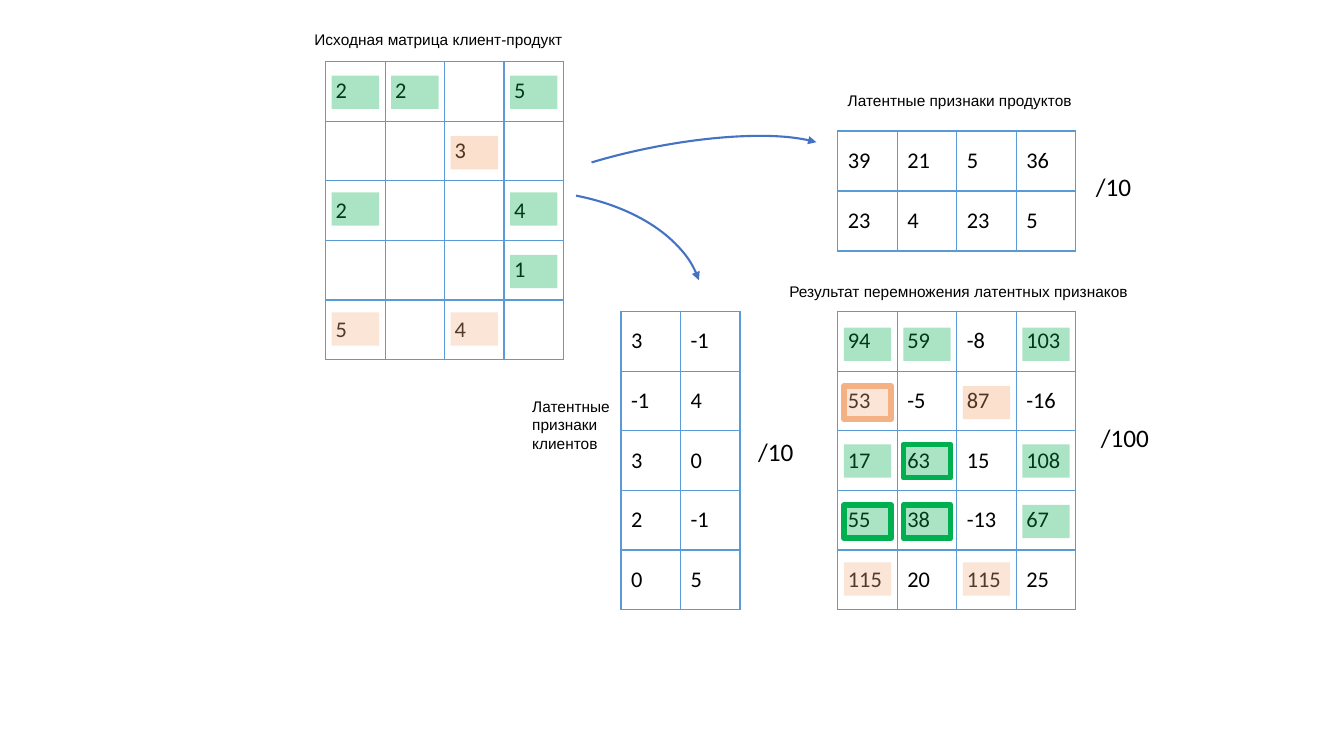
from lxml import etree
from pptx import Presentation
from pptx.dml import color
from pptx.enum import shapes, text
from pptx.oxml import ns
from pptx.util import Inches, Pt

BLUE = "5B9BD5"
COLORS = {"g": "00B050", "o": "F4B183", "p": "F2A16A"}


def rgb(value):
    return color.RGBColor.from_string(value)


def write(frame, content, size=11, font="Arial", fill="000000"):
    frame.word_wrap = True
    run = frame.paragraphs[0].add_run()
    run.text = content
    run.font.size = Pt(size)
    run.font.name = font
    run.font.color.rgb = rgb(fill)


presentation = Presentation()
presentation.slide_width = Inches(13.33)
presentation.slide_height = Inches(7.5)
slide = presentation.slides.add_slide(presentation.slide_layouts[6])

# Matrices: left, top, width, height, values
source = (3.23, 0.61, 2.36, 2.96, [
    ["2", "2", "", "5"],
    ["", "", "3", ""],
    ["2", "", "", "4"],
    ["", "", "", "1"],
    ["5", "", "4", ""],
])
products = (8.31, 1.3, 2.36, 1.19, [
    ["39", "21", "5", "36"],
    ["23", "4", "23", "5"],
])
clients = (6.16, 3.09, 1.18, 2.96, [
    ["3", "-1"],
    ["-1", "4"],
    ["3", "0"],
    ["2", "-1"],
    ["0", "5"],
])
result = (8.31, 3.09, 2.36, 2.96, [
    ["94", "59", "-8", "103"],
    ["53", "-5", "87", "-16"],
    ["17", "63", "15", "108"],
    ["55", "38", "-13", "67"],
    ["115", "20", "115", "25"],
])

for left, top, width, height, values in (result, clients, products, source):
    table = slide.shapes.add_table(
        len(values), len(values[0]),
        Inches(left), Inches(top), Inches(width), Inches(height)).table
    table.first_row = False
    table.horz_banding = False
    for row, row_values in enumerate(values):
        for column, value in enumerate(row_values):
            cell = table.cell(row, column)
            cell.fill.background()
            cell.vertical_anchor = text.MSO_ANCHOR.MIDDLE
            if value:
                write(cell.text_frame, value, size=16, font="Calibri")
            properties = cell._tc.get_or_add_tcPr()
            for position, side in enumerate(("lnL", "lnR", "lnT", "lnB")):
                border = etree.Element(ns.qn("a:" + side), w=str(Pt(1)))
                solid = etree.SubElement(border, ns.qn("a:solidFill"))
                etree.SubElement(solid, ns.qn("a:srgbClr"), val=BLUE)
                properties.insert(position, border)

# Translucent highlights: a letter names the colour, a capital adds a frame
highlights = [
    (source, [0.75, 1.35, 1.91, 2.53, 3.1],
     ["gg.g", "..p.", "g..g", "...g", "o.o."]),
    (result, [3.25, 3.83, 4.41, 5.01, 5.58],
     ["gg.g", "O.p.", "gG.g", "GG.g", "o.o."]),
]
for matrix, tops, marks in highlights:
    for top, row_marks in zip(tops, marks):
        for column, mark in enumerate(row_marks):
            if mark == ".":
                continue
            left = matrix[0] + 0.06 + column * 0.59
            shape = slide.shapes.add_shape(
                shapes.MSO_SHAPE.RECTANGLE,
                Inches(left), Inches(top), Inches(0.47), Inches(0.33))
            shape.shadow.inherit = False
            tint = COLORS[mark.lower()]
            shape.fill.solid()
            shape.fill.fore_color.rgb = rgb(tint)
            tint_element = shape._element.spPr.find(".//" + ns.qn("a:srgbClr"))
            etree.SubElement(tint_element, ns.qn("a:alpha"), val="33000")
            if mark.isupper():
                shape.line.color.rgb = rgb(tint)
                shape.line.width = Pt(4)
            else:
                shape.line.fill.background()

# Curved arrows: left, top, width, height, rotation, start and end in degrees
arrows = [
    (4.69, 1.46, 3.69, 1.01, 348.5, 219.37, 352),
    (3.39, 1.89, 3.58, 2.24, 0, 296.5, 352.51),
]
for left, top, width, height, rotation, start, end in arrows:
    arrow = slide.shapes.add_shape(
        shapes.MSO_SHAPE.ARC,
        Inches(left), Inches(top), Inches(width), Inches(height))
    arrow.shadow.inherit = False
    arrow.rotation = rotation
    # Angles are stored in 60000ths of a degree, adjustments in 100000ths
    arrow.adjustments[0] = start * 0.6
    arrow.adjustments[1] = end * 0.6
    arrow.fill.background()
    arrow.line.color.rgb = rgb("4472C4")
    arrow.line.width = Pt(1.5)
    etree.SubElement(arrow.line._get_or_add_ln(), ns.qn("a:tailEnd"), type="triangle")

# Scale factors and captions
scale = {"size": 18, "font": "Calibri"}
labels = [
    (7.42, 4.28, 0.65, 0.4, "/10", scale),
    (10.77, 1.65, 0.65, 0.4, "/10", scale),
    (10.82, 4.14, 0.81, 0.4, "/100", scale),
    (8.31, 0.85, 2.46, 0.29, "Латентные признаки продуктов", {}),
    (5.18, 3.89, 1.05, 0.66, "Латентные признаки клиентов", {}),
    (3.02, 0.25, 2.87, 0.29, "Исходная матрица клиент-продукт", {}),
    (7.73, 2.75, 3.68, 0.29, "Результат перемножения латентных признаков", {}),
]
for left, top, width, height, content, style in labels:
    box = slide.shapes.add_textbox(
        Inches(left), Inches(top), Inches(width), Inches(height))
    box.text_frame.auto_size = text.MSO_AUTO_SIZE.SHAPE_TO_FIT_TEXT
    write(box.text_frame, content, **style)

presentation.save("out.pptx")
